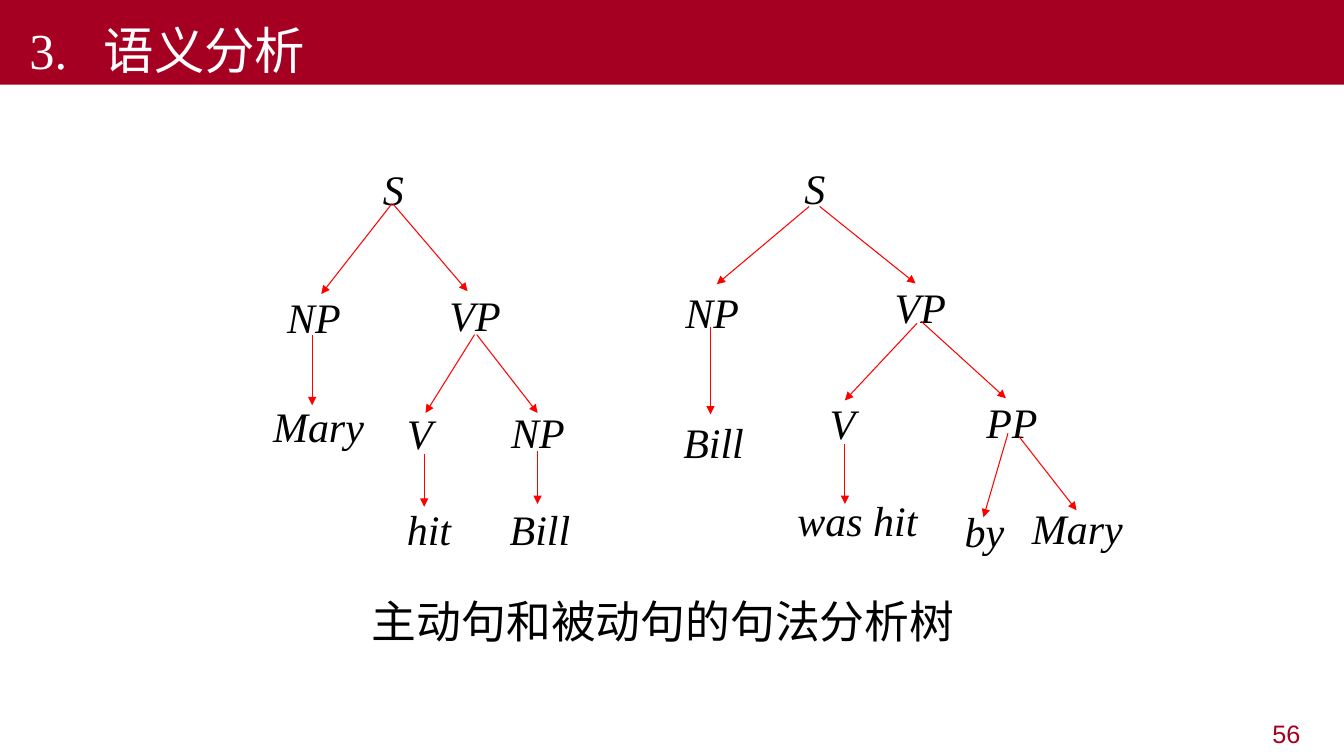
from dataclasses import dataclass

from lxml import etree
from pptx import Presentation
from pptx.dml.color import RGBColor
from pptx.enum.shapes import MSO_CONNECTOR
from pptx.enum.text import MSO_ANCHOR, MSO_AUTO_SIZE, PP_ALIGN
from pptx.oxml.ns import qn
from pptx.util import Pt

STRAIGHT = MSO_CONNECTOR.STRAIGHT
TOP, MIDDLE, BOTTOM = MSO_ANCHOR.TOP, MSO_ANCHOR.MIDDLE, MSO_ANCHOR.BOTTOM
LEFT, RIGHT, JUSTIFY = PP_ALIGN.LEFT, PP_ALIGN.RIGHT, PP_ALIGN.JUSTIFY
NO_FIT = MSO_AUTO_SIZE.NONE


@dataclass
class Theme:
    bar: RGBColor = RGBColor(0xA5, 0x00, 0x21)
    arrow: RGBColor = RGBColor(0xFF, 0x00, 0x00)
    ink: RGBColor = RGBColor(0x00, 0x00, 0x00)
    paper: RGBColor = RGBColor(0xFF, 0xFF, 0xFF)
    serif: str = "Times New Roman"
    sans: str = "Arial"
    title_size: int = 36
    caption_size: int = 32
    node_size: int = 30
    number_size: int = 18


# Each node: label, left, top, width, arrow from the parent (x1, y1, x2, y2)
ACTIVE_TREE = [
    ("S", 266.5, 111, 25, None),
    ("NP", 198, 202.5, 58.5, (280, 145.5, 229.5, 210)),
    ("VP", 314, 201, 58.5, (281, 146, 334, 208)),
    ("Mary", 188, 280, 80, (223, 239, 223, 289.5)),
    ("V", 283.5, 285, 29.5, (339, 239, 304, 295)),
    ("NP", 358, 284.5, 58.5, (340.5, 239, 384, 295)),
    ("hit", 283.5, 353.5, 58.5, (303, 324.5, 303, 362)),
    ("Bill", 357, 353.5, 66, (384, 322.5, 384, 360)),
]
PASSIVE_TREE = [
    ("S", 567.5, 110, 29, None),
    ("NP", 482.5, 198.5, 58.5, (578, 147.5, 512, 203)),
    ("VP", 632, 195, 58.5, (585.5, 147.5, 654, 202.5)),
    ("Bill", 481, 291.5, 66, (507.5, 233.5, 507.5, 296)),
    ("V", 585.5, 278, 29.5, (655, 231, 603.5, 286)),
    ("PP", 697.5, 277, 58.5, (658, 229.5, 718.5, 284.5)),
    ("was hit", 562.5, 347, 103, (603.5, 317, 603.5, 360)),
    ("by", 682, 355, 48, (720, 309.5, 702.5, 369.5)),
    ("Mary", 730, 353, 80, (728, 312, 769, 364.5)),
]
NODE_HEIGHT = 44


class SlideBuilder:
    def __init__(self, slide, theme):
        self.slide = slide
        self.theme = theme

    def format_text(self, sp, text, size, color, font, align=LEFT,
                    italic=False, tab=None, **frame):
        tf = sp.text_frame
        settings = {"auto_size": NO_FIT, "word_wrap": True,
                    "vertical_anchor": TOP, **frame}
        for name, value in settings.items():
            setattr(tf, name, value)
        p = tf.paragraphs[0]
        p.text = text
        p.alignment = align
        if tab:
            tabs = etree.SubElement(p._p.get_or_add_pPr(), qn("a:tabLst"))
            etree.SubElement(tabs, qn("a:tab"), pos=str(Pt(tab)), algn="l")
        formats = {"size": Pt(size), "name": font, "italic": italic}
        for r in p.runs:
            for name, value in formats.items():
                setattr(r.font, name, value)
            r.font.color.rgb = color

    def title(self, text, width, height):
        t, sp = self.theme, self.slide.shapes.title
        sp.left, sp.top, sp.width, sp.height = 0, 0, Pt(width), Pt(height)
        sp.fill.solid()
        sp.fill.fore_color.rgb = t.bar
        self.format_text(sp, text, t.title_size, t.paper, t.serif, tab=53,
                         vertical_anchor=BOTTOM, margin_left=Pt(21))

    def text(self, text, left, top, width, height, *style, **options):
        sp = self.slide.shapes.add_textbox(
            Pt(left), Pt(top), Pt(width), Pt(height))
        self.format_text(sp, text, *style, **options)

    def arrow(self, *ends):
        sp = self.slide.shapes.add_connector(STRAIGHT, *map(Pt, ends))
        sp.line.color.rgb = self.theme.arrow
        sp.line.width = Pt(0.75)
        etree.SubElement(sp.line._get_or_add_ln(), qn("a:tailEnd"),
                         type="triangle")
        etree.SubElement(sp._element.spPr, qn("a:effectLst"))

    def tree(self, nodes):
        t = self.theme
        for label, left, top, width, ends in nodes:
            self.text(label, left, top, width, NODE_HEIGHT, t.node_size,
                      t.ink, t.serif, JUSTIFY, True, margin_top=Pt(6))
            if ends:
                self.arrow(*ends)


def main():
    prs = Presentation()
    prs.slide_width, prs.slide_height = Pt(960), Pt(540)
    theme = Theme()
    s = SlideBuilder(prs.slides.add_slide(prs.slide_layouts[5]), theme)

    # Title bar
    s.title("3.\t语义分析", 960, 60.5)

    # Syntax trees
    for nodes in (ACTIVE_TREE, PASSIVE_TREE):
        s.tree(nodes)

    # Caption and slide number
    s.text("主动句和被动句的句法分析树", 258.5, 420.5, 434, 46,
           theme.caption_size, theme.ink, theme.serif, JUSTIFY,
           word_wrap=False)
    s.text("56", 728, 510, 208, 28, theme.number_size, theme.bar,
           theme.sans, RIGHT, vertical_anchor=MIDDLE)

    prs.save("out.pptx")


if __name__ == "__main__":
    main()
